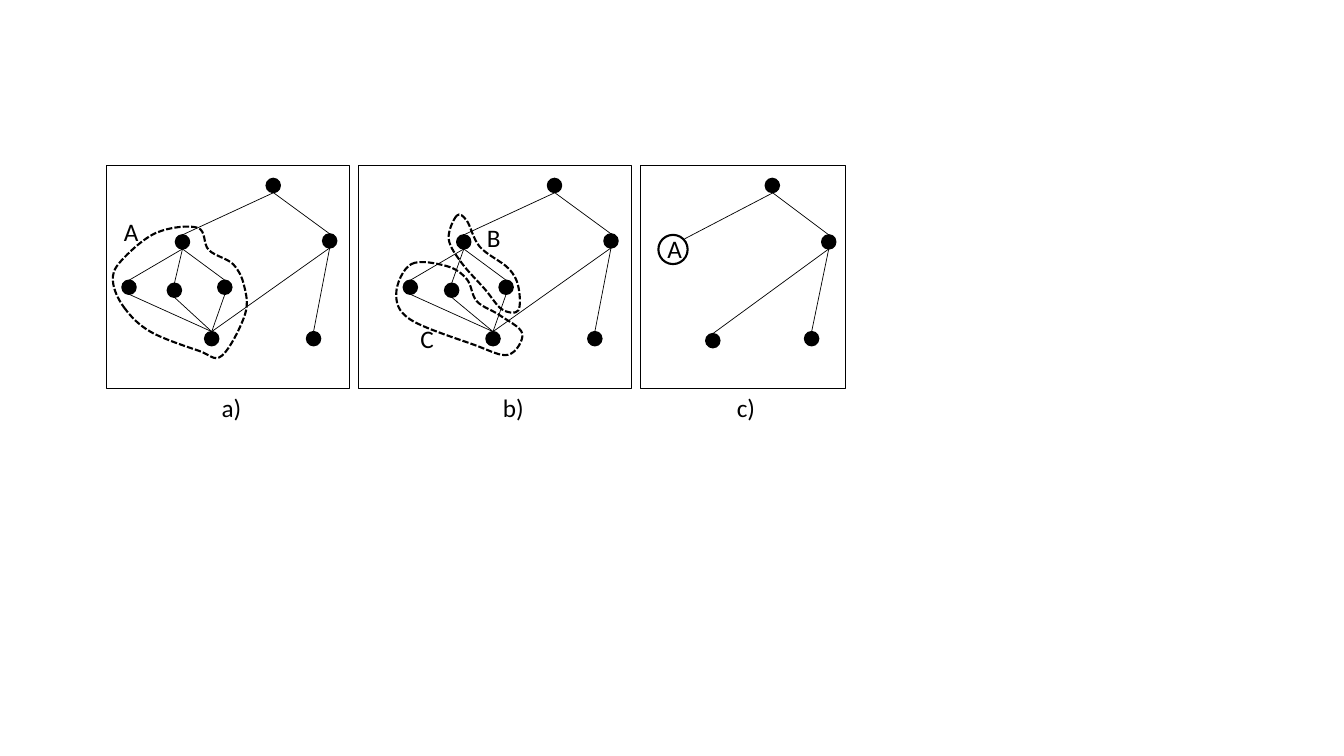
import pptx
import pptx.dml.color
import pptx.enum.dml
import pptx.enum.shapes
import pptx.enum.text
import pptx.oxml.ns
import pptx.util
from lxml import etree

Inches, Pt = pptx.util.Inches, pptx.util.Pt
SHAPE = pptx.enum.shapes.MSO_SHAPE
qn = pptx.oxml.ns.qn
COLORS = {"ink": "000000"}
INK = pptx.dml.color.RGBColor.from_string(COLORS["ink"])
RADIUS = 0.07

prs = pptx.Presentation()
prs.slide_width, prs.slide_height = Inches(13.33), Inches(7.5)
s = prs.slides.add_slide(prs.slide_layouts[6])


def add_text(text, x, y, w, h=0.4, size=18, font="Calibri", wrap=True):
    tf = s.shapes.add_textbox(Inches(x), Inches(y), Inches(w), Inches(h)).text_frame
    tf.word_wrap = wrap
    tf.auto_size = pptx.enum.text.MSO_AUTO_SIZE.SHAPE_TO_FIT_TEXT
    r = tf.paragraphs[0].add_run()
    r.text = text
    r.font.size, r.font.name = Pt(size), font
    r.font.color.rgb = INK


def style(sp, width, filled=False):
    """Give a shape a black outline and a black fill or none."""
    sp.shadow.inherit = False
    if filled:
        sp.fill.solid()
        sp.fill.fore_color.rgb = INK
    else:
        sp.fill.background()
    sp.line.color.rgb = INK
    sp.line.width = Pt(width)


# Panels: caption, left, width, caption left, caption width
panels = [
    ("a)", 1.06, 2.41, 2.10, 0.40),
    ("b)", 3.56, 2.70, 4.89, 0.41),
    ("c)", 6.35, 2.04, 7.21, 0.39),
]
for caption, x, w, caption_x, caption_w in panels:
    sp = s.shapes.add_shape(SHAPE.RECTANGLE, Inches(x), Inches(1.64), Inches(w), Inches(2.21))
    style(sp, 0.75)
    add_text(caption, caption_x, 3.84, caption_w, wrap=False)

# Node centres in panel a); the other panels shift them to the right
full_tree = {
    "root": (2.71, 1.84), "left": (1.81, 2.40), "right": (3.27, 2.39),
    "child 1": (1.28, 2.85), "child 2": (1.73, 2.88), "child 3": (2.23, 2.85),
    "bottom": (2.10, 3.36), "leaf": (3.11, 3.36),
}
full_edges = [
    ("root", "left"), ("root", "right"), ("right", "bottom"), ("right", "leaf"),
    ("left", "child 1"), ("left", "child 2"), ("left", "child 3"),
    ("child 1", "bottom"), ("child 2", "bottom"), ("child 3", "bottom"),
]
split_tree = {**full_tree, "child 2": (1.69, 2.88)}
merged_tree = {
    "root": (2.71, 1.84), "right": (3.27, 2.40),
    "bottom": (2.12, 3.38), "leaf": (3.10, 3.36),
}
merged_edges = [("root", "right"), ("right", "bottom"), ("right", "leaf")]
trees = [
    (0, full_tree, full_edges),
    (2.79, split_tree, full_edges),
    (4.95, merged_tree, merged_edges),
]

links = [(7.71, 1.89, 6.79, 2.37)]
for shift, nodes, edges in trees:
    for x, y in nodes.values():
        sp = s.shapes.add_shape(SHAPE.OVAL, Inches(x + shift - RADIUS), Inches(y - RADIUS),
                                Inches(2 * RADIUS), Inches(2 * RADIUS))
        style(sp, 1, filled=True)
    for parent, child in edges:
        (x1, y1), (x2, y2) = nodes[parent], nodes[child]
        dx, dy = (0.05, 0.05) if child == "left" else (0, RADIUS)
        links.append((x1 + shift + dx, y1 + dy, x2 + shift, y2 - RADIUS))

for ends in links:
    line = s.shapes.add_connector(pptx.enum.shapes.MSO_CONNECTOR.STRAIGHT,
                                  *[Inches(v) for v in ends])
    line.line.color.rgb = INK
    line.line.width = Pt(0.5)
    etree.SubElement(line._element.spPr, qn("a:effectLst"))

# Merged node in panel c)
sp = s.shapes.add_shape(SHAPE.OVAL, Inches(6.53), Inches(2.33), Inches(0.29), Inches(0.29))
style(sp, 1.5)

# Dashed groups: smooth closed curves through these points
groups = {
    "A": [(1.23, 3.05), (1.49, 3.29), (1.97, 3.48), (2.20, 3.53), (2.43, 3.12), (2.42, 2.83),
          (2.31, 2.62), (2.07, 2.48), (1.96, 2.26), (1.55, 2.31), (1.20, 2.59), (1.12, 2.79)],
    "B": [(4.53, 2.14), (4.45, 2.37), (4.58, 2.61), (4.81, 2.87), (4.98, 3.07), (5.14, 3.08),
          (5.14, 2.84), (5.04, 2.66), (4.76, 2.45), (4.63, 2.19)],
    "C": [(4.08, 2.62), (4.43, 2.64), (4.63, 2.77), (4.73, 2.99), (4.96, 3.13), (5.18, 3.31),
          (5.04, 3.52), (4.70, 3.42), (4.07, 3.17), (3.93, 2.91)],
}
for points in groups.values():
    points = [(Inches(x), Inches(y)) for x, y in points]
    outline = s.shapes.build_freeform(*points[0], scale=1.0)
    outline.add_line_segments(points[1:] + points[:1], close=True)
    sp = outline.convert_to_shape()
    style(sp, 1.5)
    sp.line.dash_style = pptx.enum.dml.MSO_LINE.SQUARE_DOT

    # Turn each straight side into a Bezier curve that follows its neighbours
    for i, side in enumerate(list(sp._element.iter(qn("a:lnTo")))):
        before, start, end, after = [points[(i + k) % len(points)] for k in (-1, 0, 1, 2)]
        handles = [
            [a + (c - b) / 6 for a, b, c in zip(start, before, end)],
            [a - (c - b) / 6 for a, b, c in zip(end, start, after)],
        ]
        side.tag = qn("a:cubicBezTo")
        for k, (x, y) in enumerate(handles):
            pt = etree.Element(qn("a:pt"), x=str(round(x - sp.left)), y=str(round(y - sp.top)))
            side.insert(k, pt)

for label, x, y in [("A", 1.13, 2.10), ("B", 4.73, 2.16), ("C", 4.07, 3.16), ("A", 6.52, 2.27)]:
    add_text(label, x, y, 0.26)

prs.save("out.pptx")
